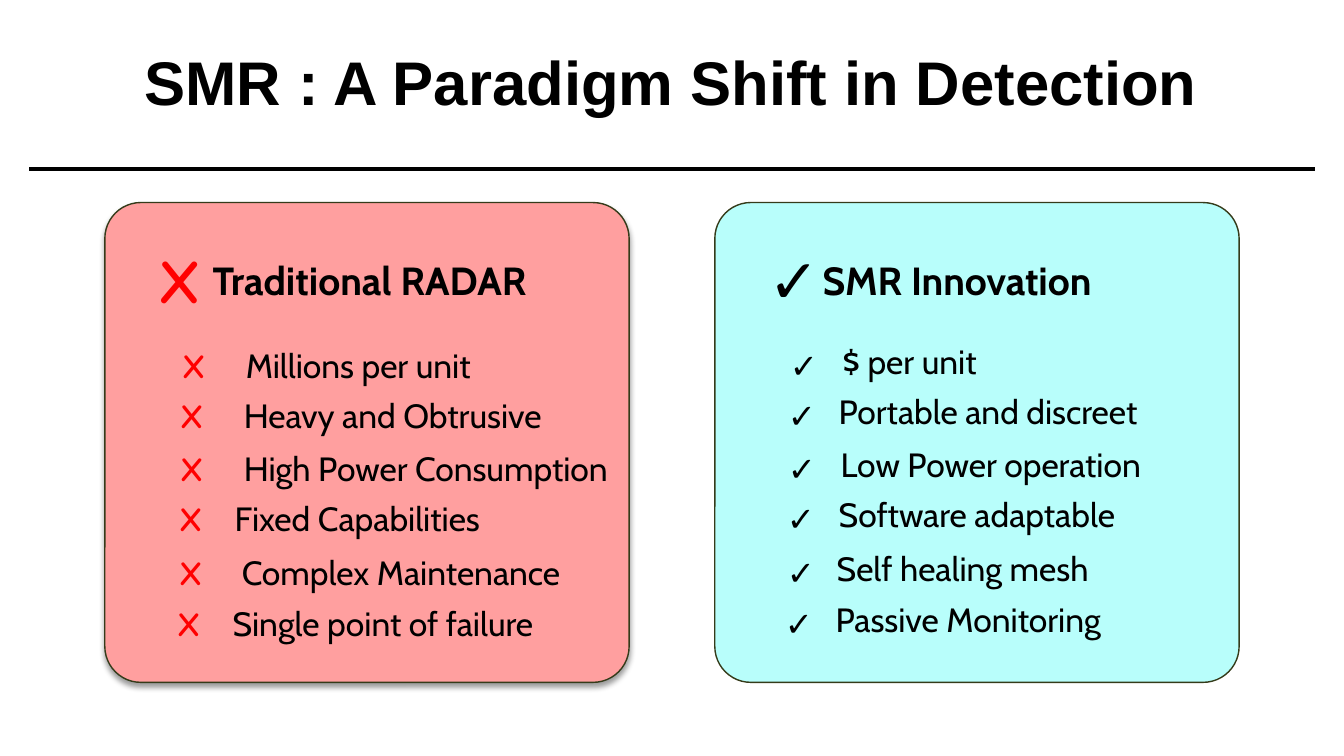
"""Builds a slide that contrasts traditional RADAR with SMR on two cards."""
from dataclasses import dataclass

from lxml.etree import SubElement
from pptx import Presentation
from pptx.dml.color import RGBColor
from pptx.enum.shapes import MSO_CONNECTOR, MSO_SHAPE
from pptx.enum.text import MSO_ANCHOR, MSO_AUTO_SIZE, PP_ALIGN
from pptx.oxml.ns import qn
from pptx.util import Emu, Pt

EMU_PER_PX = 9144
BLACK = "000000"
CARD_TOP, CARD_WIDTH, CARD_HEIGHT = 201, 520, 476
MARK_WIDTH, ROW_HEIGHT = 57, 50


@dataclass(frozen=True)
class Row:
    """Place of one list row: mark offset within the card, top and label width."""
    mark_offset: int
    top: int
    label_width: int = 366


@dataclass(frozen=True)
class Item:
    """A list label and its offset within the card."""
    text: str
    offset: int


@dataclass(frozen=True)
class Card:
    """One side of the comparison."""
    left: int
    fill: str
    heading: str
    mark: str
    mark_font: str
    mark_color: str
    label_lift: int
    shadowed: bool
    items: tuple[Item, ...]


ROWS = (Row(60, 337), Row(58, 387), Row(58, 439, 441),
        Row(57, 489), Row(57, 543), Row(55, 593))

CARDS = (
    Card(104, "FF9F9F", "Traditional RADAR", "X", "Comic Neue", "FF0000", 0, True, (
        Item("Millions per unit", 130),
        Item("Heavy and Obtrusive", 128),
        Item("High Power Consumption", 128),
        Item("Fixed Capabilities", 119),
        Item("Complex Maintenance", 126),
        Item("Single point of failure", 117))),
    Card(709, "B8FEFB", "SMR Innovation", "✓", "Arial", BLACK, 4, False, (
        Item("$ per unit", 117),
        Item("Portable and discreet", 113),
        Item("Low Power operation", 115),
        Item("Software adaptable", 113),
        Item("Self healing mesh", 111),
        Item("Passive Monitoring", 110))),
)


def px(length: int) -> Emu:
    """Turn px into EMU."""
    return Emu(length * EMU_PER_PX)


def color(value: str) -> RGBColor:
    """Turn a hex string into a colour."""
    return RGBColor.from_string(value)


def style(paragraph, size: int, font: str, hue: str = BLACK, bold: bool = False) -> None:
    """Set the font of a whole paragraph."""
    paragraph.font.size = Pt(size)
    paragraph.font.name = font
    paragraph.font.bold = bold
    paragraph.font.color.rgb = color(hue)


def add_text(group, text: str, left: int, top: int, width: int, height: int,
             size: int, font: str = "Cabin", hue: str = BLACK, bold: bool = False,
             align: PP_ALIGN = PP_ALIGN.LEFT) -> None:
    """Add a wrapping one-paragraph text box."""
    box = group.shapes.add_textbox(px(left), px(top), px(width), px(height))
    frame = box.text_frame
    frame.word_wrap = True
    frame.auto_size = MSO_AUTO_SIZE.SHAPE_TO_FIT_TEXT
    paragraph = frame.paragraphs[0]
    paragraph.text = text
    paragraph.alignment = align
    style(paragraph, size, font, hue, bold)


def add_mark(group, card: Card, offset: int, top: int, height: int, size: int) -> None:
    """Add the card's cross or tick."""
    add_text(group, card.mark, card.left + offset, top, MARK_WIDTH, height,
             size, card.mark_font, card.mark_color, True, PP_ALIGN.CENTER)


def add_shadow(shape) -> None:
    """Give a shape a soft shadow below it."""
    effects = shape._element.spPr.find(qn("a:effectLst"))
    shadow = SubElement(effects, qn("a:outerShdw"), blurRad=str(Pt(4)),
                        dist=str(Pt(3)), dir="5400000", algn="t", rotWithShape="0")
    hue = SubElement(shadow, qn("a:srgbClr"), val=BLACK)
    SubElement(hue, qn("a:alpha"), val="40000")


def add_card(page, card: Card) -> None:
    """Draw a card with its heading and list as one group."""
    group = page.shapes.add_group_shape()
    panel = group.shapes.add_shape(MSO_SHAPE.ROUNDED_RECTANGLE, px(card.left),
                                   px(CARD_TOP), px(CARD_WIDTH), px(CARD_HEIGHT))
    panel.adjustments[0] = 0.075
    panel.fill.solid()
    panel.fill.fore_color.rgb = color(card.fill)
    panel.line.color.rgb = color("353B1A")
    panel.line.width = Pt(1)
    panel.shadow.inherit = False
    if card.shadowed:
        add_shadow(panel)

    add_text(group, card.heading, card.left + 97, 249, 366, 57, 28, bold=True)
    add_mark(group, card, 43, 235, 84, 44)
    for row, item in zip(ROWS, card.items):
        add_text(group, item.text, card.left + item.offset, row.top - card.label_lift,
                 row.label_width, ROW_HEIGHT, 24)
        add_mark(group, card, row.mark_offset, row.top, ROW_HEIGHT, 24)


def add_title(page, text: str) -> None:
    """Place and format the title."""
    title = page.shapes.title
    title.left, title.top, title.width, title.height = px(35), px(0), px(1262), px(170)
    frame = title.text_frame
    frame.word_wrap = True
    frame.auto_size = MSO_AUTO_SIZE.NONE
    frame.vertical_anchor = MSO_ANCHOR.MIDDLE
    paragraph = frame.paragraphs[0]
    paragraph.text = text
    paragraph.alignment = PP_ALIGN.CENTER
    paragraph.line_spacing = 0.9
    style(paragraph, 44, "Arial", bold=True)


def add_rule(page) -> None:
    """Draw the line under the title."""
    rule = page.shapes.add_connector(MSO_CONNECTOR.STRAIGHT,
                                     px(1304), px(168), px(29), px(168))
    rule.line.color.rgb = color(BLACK)
    rule.line.width = Pt(3)
    SubElement(rule._element.spPr, qn("a:effectLst"))


def main() -> None:
    """Build and save the deck."""
    deck = Presentation()
    deck.slide_width, deck.slide_height = px(1333), px(750)
    page = deck.slides.add_slide(deck.slide_layouts[5])
    add_title(page, "SMR : A Paradigm Shift in Detection")
    add_rule(page)
    for card in CARDS:
        add_card(page, card)
    deck.save("out.pptx")


if __name__ == "__main__":
    main()
